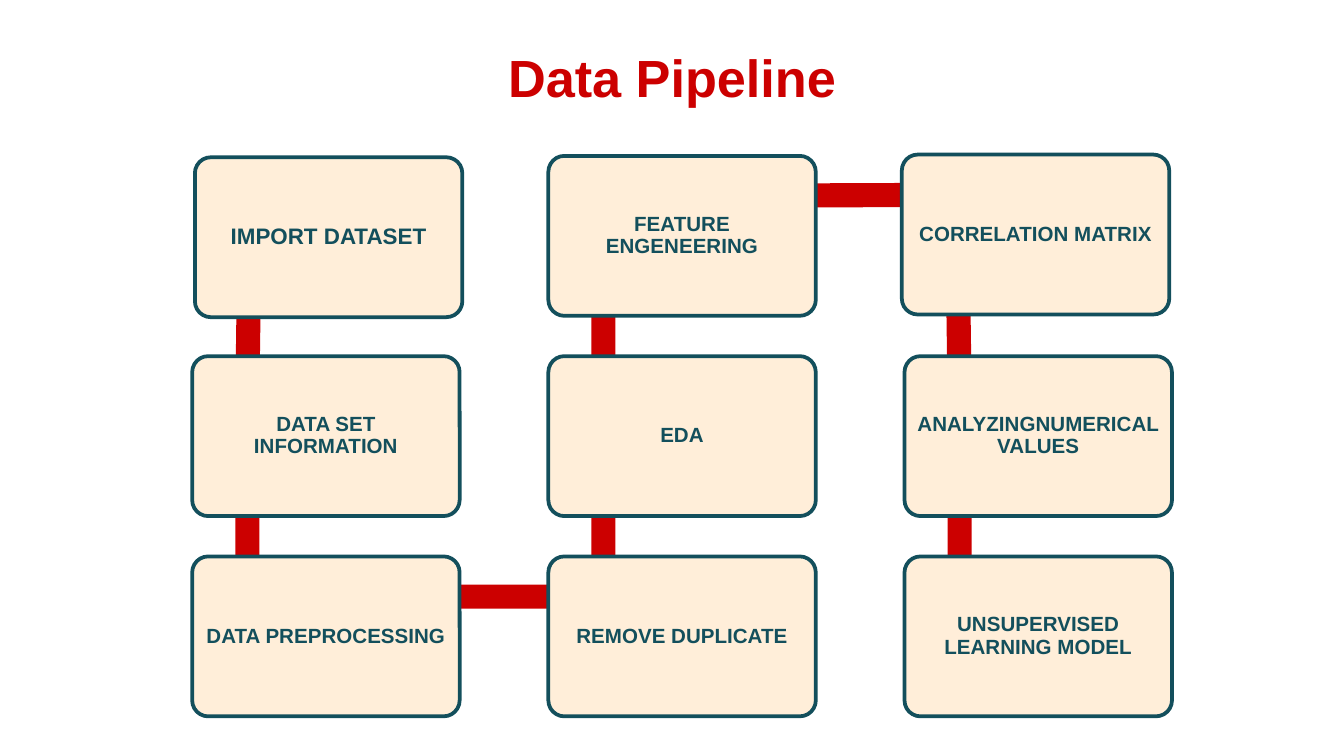
from dataclasses import dataclass
from math import atan2, degrees, hypot

from pptx import Presentation
from pptx.dml.color import RGBColor
from pptx.enum.shapes import MSO_SHAPE
from pptx.enum.text import MSO_ANCHOR, PP_ALIGN
from pptx.util import Inches, Pt


@dataclass(frozen=True)
class Theme:
    font: str = "Arial"
    red: str = "CC0000"
    teal: str = "134F5C"
    cream: str = "FFEED9"
    title_size: int = 28
    lead_size: int = 12
    step_size: int = 11
    outline: int = 2


THEME = Theme()

# Grid of cards, in inches
LEFT, TOP = 1.43, 1.16
COLUMN_PITCH, ROW_PITCH = 2.65, 1.49
CARD_WIDTH, CARD_HEIGHT = 1.99, 1.19

# Bars run between the same inner point of successive cards
JOINT_X, JOINT_Y = 0.41, 0.3
BAR_THICKNESS = 0.18

# Label, column, row, in reading order of the pipeline
STEPS = [
    ("IMPORT DATASET", 0, 0),
    ("DATA SET INFORMATION", 0, 1),
    ("DATA PREPROCESSING", 0, 2),
    ("REMOVE DUPLICATE", 1, 2),
    ("EDA", 1, 1),
    ("FEATURE ENGENEERING", 1, 0),
    ("CORRELATION MATRIX", 2, 0),
    ("ANALYZINGNUMERICAL VALUES", 2, 1),
    ("UNSUPERVISED LEARNING MODEL", 2, 2),
]

# Small offsets of single cards from the grid: (column, row) -> (x, y)
NUDGES = {(0, 0): (0.02, 0.01), (2, 0): (-0.02, -0.01)}


def card_origin(column, row):
    nudge_x, nudge_y = NUDGES.get((column, row), (0, 0))
    return LEFT + column * COLUMN_PITCH + nudge_x, TOP + row * ROW_PITCH + nudge_y


def set_text(frame, text, size, color, margin, anchor):
    settings = {"word_wrap": True, "vertical_anchor": anchor}
    for side in ("left", "top", "right", "bottom"):
        settings[f"margin_{side}"] = Inches(margin)
    for name, value in settings.items():
        setattr(frame, name, value)
    para = frame.paragraphs[0]
    para.alignment = PP_ALIGN.CENTER
    span = para.add_run()
    span.text = text
    for name, value in {"name": THEME.font, "size": Pt(size), "bold": True}.items():
        setattr(span.font, name, value)
    span.font.color.rgb = RGBColor.from_string(color)
    return para


def add_filled(page, kind, left, top, width, height, color):
    shape = page.shapes.add_shape(
        kind, Inches(left), Inches(top), Inches(width), Inches(height))
    shape.shadow.inherit = False
    shape.fill.solid()
    shape.fill.fore_color.rgb = RGBColor.from_string(color)
    return shape


def add_title(page, text):
    title = page.shapes.title
    place = {"left": 0.34, "top": 0.24, "width": 9.32, "height": 0.63}
    for name, value in place.items():
        setattr(title, name, Inches(value))
    set_text(title.text_frame, text, THEME.title_size, THEME.red, 0.1, MSO_ANCHOR.TOP)


def add_bar(page, start, end):
    x, y = start[0] + JOINT_X, start[1] + JOINT_Y
    run, rise = end[0] - start[0], end[1] - start[1]
    length = hypot(run, rise)
    bar = add_filled(page, MSO_SHAPE.RECTANGLE,
                     x + run / 2 - length / 2, y + rise / 2 - BAR_THICKNESS / 2,
                     length, BAR_THICKNESS, THEME.red)
    bar.line.fill.background()
    bar.rotation = degrees(atan2(rise, run))


def add_card(page, origin, text, size):
    card = add_filled(page, MSO_SHAPE.ROUNDED_RECTANGLE, *origin,
                      CARD_WIDTH, CARD_HEIGHT, THEME.cream)
    card.adjustments[0] = 0.1
    card.line.color.rgb = RGBColor.from_string(THEME.teal)
    card.line.width = Pt(THEME.outline)
    para = set_text(card.text_frame, text, size, THEME.teal, 0.05, MSO_ANCHOR.MIDDLE)
    para.line_spacing = 0.9


def main():
    # Widescreen page, 16:9
    deck = Presentation()
    deck.slide_width = Inches(10)
    deck.slide_height = deck.slide_width * 9 // 16
    page = deck.slides.add_slide(deck.slide_layouts[5])
    add_title(page, "Data Pipeline")

    # Each bar lies under the two cards that it joins
    origins = [card_origin(column, row) for _, column, row in STEPS]
    for index, (text, _, _) in enumerate(STEPS):
        if index + 1 < len(STEPS):
            add_bar(page, origins[index], origins[index + 1])
        size = THEME.step_size if index else THEME.lead_size
        add_card(page, origins[index], text, size)

    deck.save("out.pptx")


if __name__ == "__main__":
    main()
